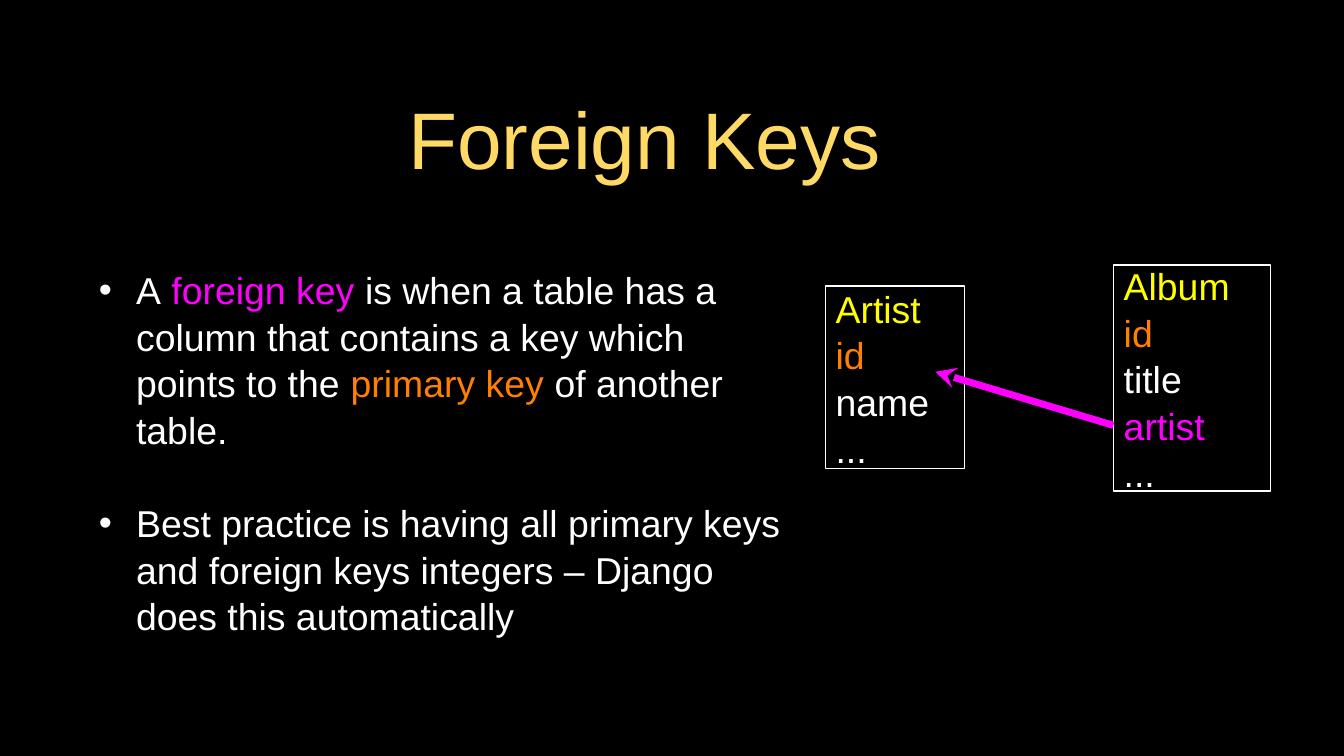
from pptx import Presentation
from pptx.dml.color import RGBColor
from pptx.enum.shapes import MSO_CONNECTOR, MSO_SHAPE
from pptx.enum.text import MSO_ANCHOR, MSO_AUTO_SIZE, PP_ALIGN
from pptx.oxml.ns import qn
from pptx.util import Cm, Pt
from lxml.etree import SubElement

BLACK = RGBColor(0, 0, 0)
WHITE = RGBColor(255, 255, 255)
GOLD = RGBColor(0xFF, 0xD9, 0x66)
YELLOW = RGBColor(255, 255, 0)
ORANGE = RGBColor(0xFF, 0x7F, 0)
PINK = RGBColor(255, 0, 255)
SIZE = 26.7
LEADING = 1.04


def place(shape, box):
    """Move a shape to a box given in centimetres."""
    shape.left, shape.top, shape.width, shape.height = map(Cm, box)


def set_frame(frame, left, inset):
    """Set the insets, wrapping and anchor of a text frame."""
    frame.margin_left = Cm(left)
    frame.margin_top = frame.margin_right = frame.margin_bottom = Cm(inset)
    frame.word_wrap = True
    frame.auto_size = MSO_AUTO_SIZE.NONE
    frame.vertical_anchor = MSO_ANCHOR.MIDDLE


def style(run, color, size=SIZE):
    """Give a run its font, size and colour."""
    run.font.name = "Arial"
    run.font.size = Pt(size)
    run.font.color.rgb = color


def add_title(slide, box, text):
    """Fill the title placeholder."""
    title = slide.shapes.title
    place(title, box)
    frame = title.text_frame
    set_frame(frame, 0.08, 0.08)
    frame.text = text
    frame.paragraphs[0].alignment = PP_ALIGN.CENTER
    style(frame.paragraphs[0].runs[0], GOLD, 57.3)


def set_bullet(para):
    """Give a paragraph a white bullet and a hanging indent."""
    props = para._p.get_or_add_pPr()
    props.set("marL", str(Cm(0.94)))
    props.set("indent", str(Cm(-0.94)))
    color = SubElement(props, qn("a:buClr"))
    SubElement(color, qn("a:srgbClr"), val=str(WHITE))
    SubElement(props, qn("a:buFont"), typeface="Arial")
    SubElement(props, qn("a:buChar"), char="•")


def add_list(slide, box, items):
    """Fill the body placeholder with bullets of coloured runs."""
    body = slide.placeholders[1]
    place(body, box)
    frame = body.text_frame
    set_frame(frame, 0.08, 0.08)
    for index, item in enumerate(items):
        para = frame.add_paragraph() if index else frame.paragraphs[0]
        para.line_spacing = LEADING
        para.space_before = Pt(33.3 if index else 0)
        para.space_after = Pt(0 if index == 0 else 8)
        set_bullet(para)
        for text, color in item:
            run = para.add_run()
            run.text = text
            style(run, color)


def add_table_box(slide, box, rows):
    """Draw a database table as an outlined box of column names."""
    shape = slide.shapes.add_shape(MSO_SHAPE.RECTANGLE, *map(Cm, box))
    shape.shadow.inherit = False
    shape.fill.background()
    shape.line.color.rgb = WHITE
    shape.line.width = Pt(1)
    frame = shape.text_frame
    set_frame(frame, 0.26, 0)
    frame.text = "\n".join(text for text, color in rows)
    for para, (text, color) in zip(frame.paragraphs, rows):
        para.alignment = PP_ALIGN.LEFT
        para.line_spacing = LEADING
        style(para.runs[0], color)


def add_arrow(slide, tip, tail):
    """Draw the pink key arrow with its head at the tip."""
    line = slide.shapes.add_connector(
        MSO_CONNECTOR.STRAIGHT, *map(Cm, tip + tail))
    line.line.color.rgb = PINK
    line.line.width = Pt(5)
    SubElement(line.line._get_or_add_ln(), qn("a:headEnd"), type="stealth")
    SubElement(line._element.spPr, qn("a:effectLst"))


def add_schema(slide, left, top):
    """Draw both tables and the key that links them."""
    add_table_box(slide, (left, top + 0.53, 3.51, 4.6), [
        ("Artist", YELLOW), ("id", ORANGE), ("name", WHITE), ("...", WHITE)])
    add_table_box(slide, (left + 7.26, top, 3.96, 5.69), [
        ("Album", YELLOW), ("id", ORANGE), ("title", WHITE),
        ("artist", PINK), ("...", WHITE)])
    add_arrow(slide, (left + 2.77, top + 2.69), (left + 7.26, top + 4.04))


def main():
    """Build and save the slide."""
    deck = Presentation()
    deck.slide_width, deck.slide_height = Cm(33.87), Cm(19.05)
    slide = deck.slides.add_slide(deck.slide_layouts[1])
    slide.background.fill.solid()
    slide.background.fill.fore_color.rgb = BLACK
    add_title(slide, (2.41, 1.63, 27.66, 3.66), "Foreign Keys")
    add_list(slide, (2.41, 5.44, 17.53, 11.89), [
        [("A", WHITE), (" foreign key", PINK),
         (" is when a table has a column that contains a key which "
          "points to the ", WHITE),
         ("primary key", ORANGE), (" of another table.", WHITE)],
        [("Best practice is having all primary keys and foreign keys "
          "integers – Django does this automatically", WHITE)]])
    add_schema(slide, 20.8, 6.68)
    deck.save("out.pptx")


if __name__ == "__main__":
    main()
